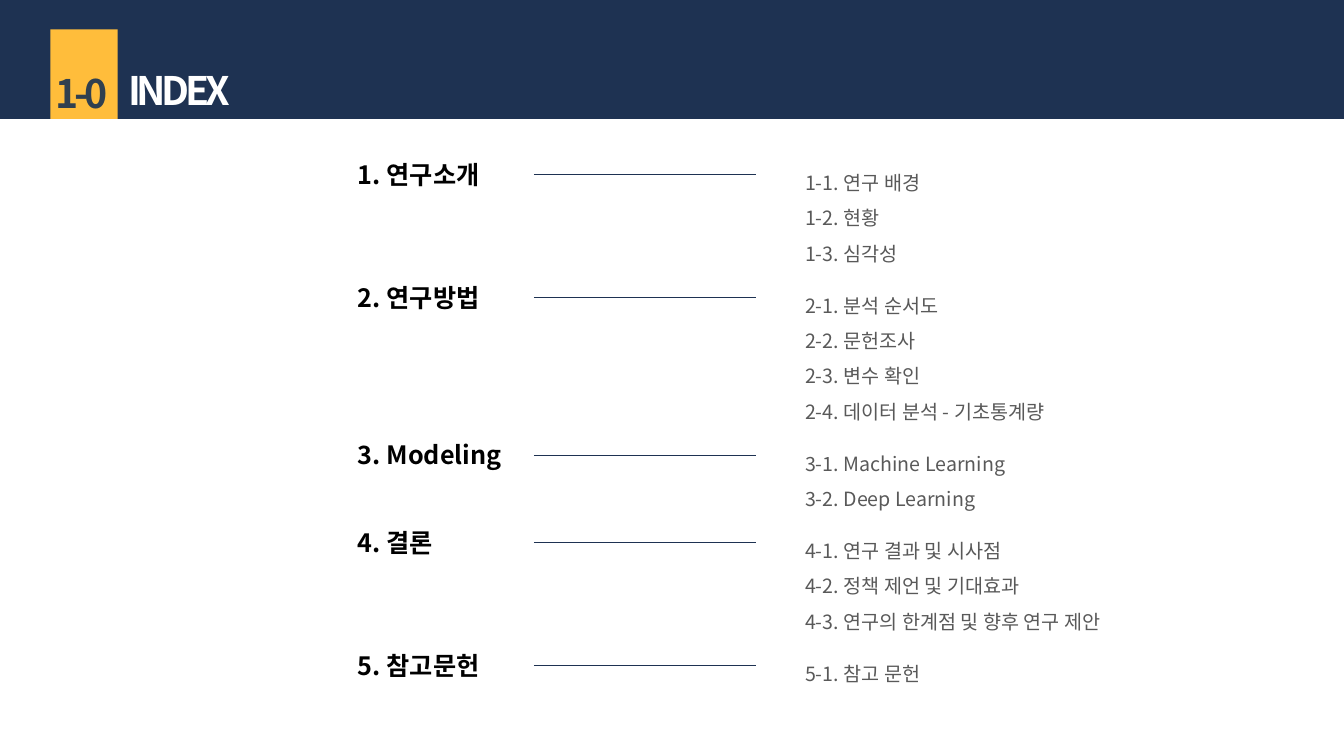
"""Build the index slide: a header band and five linked sections."""
from dataclasses import dataclass

from lxml.etree import SubElement
from pptx import Presentation
from pptx.dml.color import RGBColor
from pptx.enum.shapes import MSO_CONNECTOR as Connector, MSO_SHAPE as Shape
from pptx.enum.text import MSO_AUTO_SIZE as AutoSize, PP_ALIGN as Align
from pptx.oxml.ns import qn
from pptx.slide import Slide
from pptx.util import Pt

FONT = "Noto Sans CJK KR"
NAVY, AMBER, SLATE = "1E3252", "FFBD3B", "30404F"
WHITE, BLACK, GRAY = "FFFFFF", "000000", "595959"
FIRST_TOP, ITEM_STEP, SECTION_GAP = 110.2, 25.2, 12
HEADING_LEFT, DETAIL_LEFT = 248.6, 568
HEADING_WIDTH, WIDE = 164, 260
LINE_START, LINE_END, LINE_DROP = 381.4, 540, 14.6


@dataclass(frozen=True)
class Section:
    heading: str
    items: tuple[str, ...]
    width: float = HEADING_WIDTH


SECTIONS = (
    Section("1. 연구소개", ("1-1. 연구 배경", "1-2. 현황", "1-3. 심각성")),
    Section("2. 연구방법", ("2-1. 분석 순서도", "2-2. 문헌조사", "2-3. 변수 확인",
                        "2-4. 데이터 분석 - 기초통계량"), WIDE),
    Section("3. Modeling", ("3-1. Machine Learning", "3-2. Deep Learning")),
    Section("4. 결론", ("4-1. 연구 결과 및 시사점", "4-2. 정책 제언 및 기대효과",
                      "4-3. 연구의 한계점 및 향후 연구 제안"), WIDE),
    Section("5. 참고문헌", ("5-1. 참고 문헌",)),
)


def color(value: str) -> RGBColor:
    return RGBColor.from_string(value)


def add_text(page: Slide, lines: tuple[str, ...], left: float, top: float,
             width: float, height: float, *, size: float, fill: str,
             bold: bool = False, tracking: float = 0,
             line_spacing: float = 1.0, align: Align = Align.LEFT) -> None:
    box = page.shapes.add_textbox(Pt(left), Pt(top), Pt(width), Pt(height))
    frame = box.text_frame
    frame.word_wrap = True
    frame.auto_size = AutoSize.SHAPE_TO_FIT_TEXT
    for index, line in enumerate(lines):
        para = frame.add_paragraph() if index else frame.paragraphs[0]
        para.alignment = align
        para.line_spacing = line_spacing
        span = para.add_run()
        span.text = line
        span.font.size = Pt(size)
        span.font.bold = bold
        span.font.color.rgb = color(fill)
        span.font.name = FONT
        properties = span._r.get_or_add_rPr()
        SubElement(properties, qn("a:ea")).set("typeface", FONT)
        if tracking:
            properties.set("spc", str(round(tracking * 100)))


def add_block(page: Slide, left: float, top: float, width: float,
              height: float, fill: str) -> None:
    block = page.shapes.add_shape(Shape.RECTANGLE, Pt(left), Pt(top),
                                  Pt(width), Pt(height))
    block.shadow.inherit = False
    block.fill.solid()
    block.fill.fore_color.rgb = color(fill)
    block.line.fill.background()


def add_rule(page: Slide, level: float) -> None:
    rule = page.shapes.add_connector(Connector.STRAIGHT, Pt(LINE_START),
                                     Pt(level), Pt(LINE_END), Pt(level))
    rule.line.color.rgb = color(NAVY)
    rule.line.width = Pt(0.5)
    SubElement(rule._element.spPr, qn("a:effectLst"))


def add_header(page: Slide) -> None:
    add_block(page, 0, 0, 960, 85, NAVY)
    add_block(page, 36, 21, 48, 64, AMBER)
    add_text(page, ("INDEX",), 84.4, 43.8, 396, 41.2, size=28, fill=WHITE,
             bold=True, tracking=-3)
    add_text(page, ("1-0",), 27.2, 46, 62, 41.2, size=28, fill=SLATE,
             bold=True, tracking=-3, align=Align.CENTER)


def add_sections(page: Slide) -> None:
    top = FIRST_TOP
    for section in SECTIONS:
        height = len(section.items) * ITEM_STEP
        add_text(page, (section.heading,), HEADING_LEFT, top, HEADING_WIDTH,
                 29, size=18, fill=BLACK, bold=True)
        add_text(page, section.items, DETAIL_LEFT, top, section.width,
                 height + 7.2, size=14, fill=GRAY, line_spacing=1.5)
        add_rule(page, top + LINE_DROP)
        top += height + SECTION_GAP


def main() -> None:
    deck = Presentation()
    deck.slide_width, deck.slide_height = Pt(960), Pt(540)
    page = deck.slides.add_slide(deck.slide_layouts[6])
    add_header(page)
    add_sections(page)
    deck.save("out.pptx")


if __name__ == "__main__":
    main()
